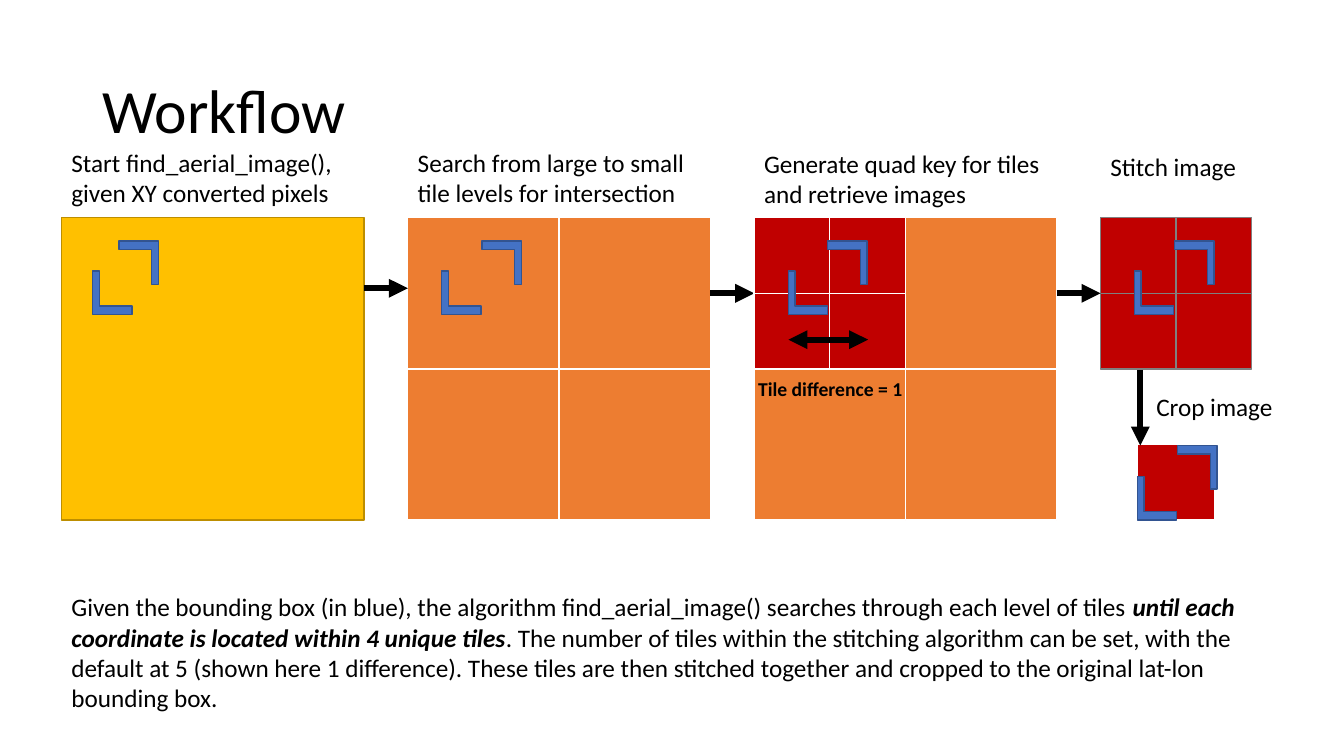
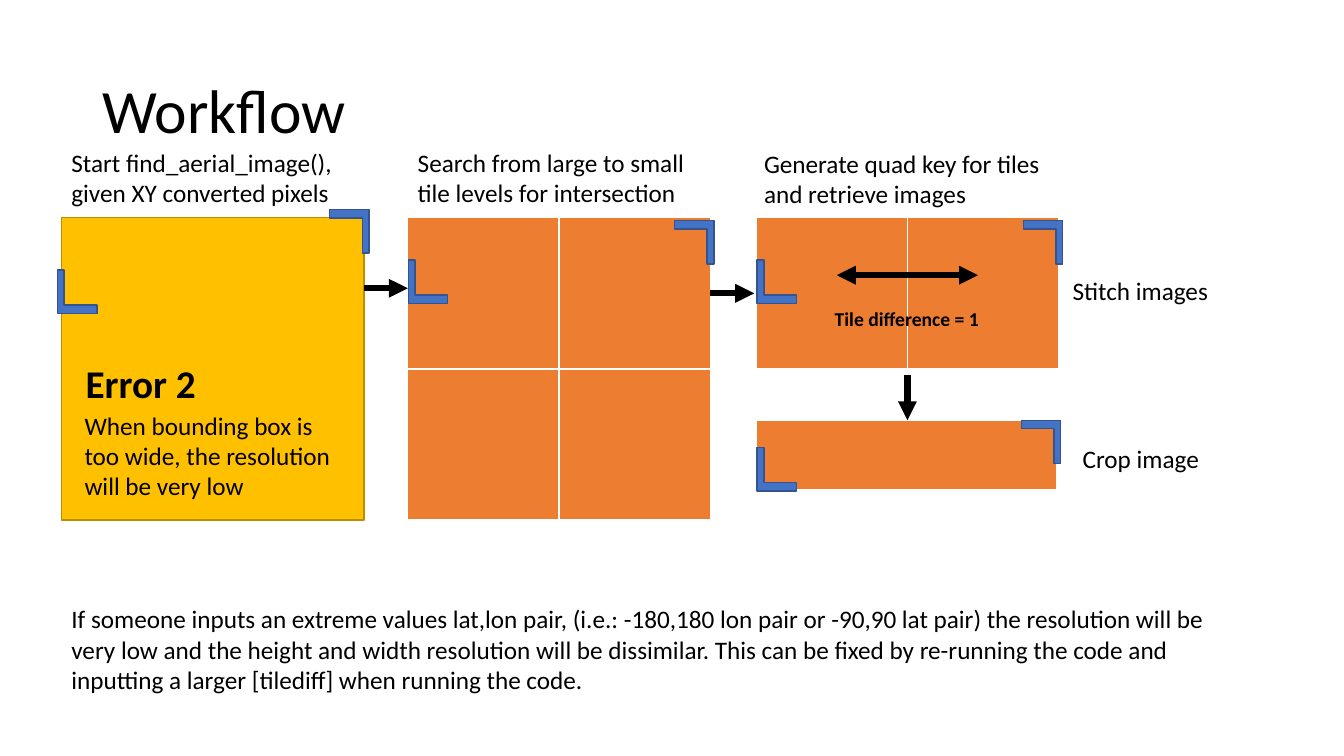
from typing import NamedTuple

from lxml import etree
from pptx import Presentation
from pptx import util as u
from pptx.dml.color import RGBColor
from pptx.enum import shapes as es
from pptx.enum import text as et
from pptx.oxml.ns import qn

HEX = {
    "black": "000000", "white": "FFFFFF", "gray": "808080",
    "gold": "FFC000", "bronze": "BD8E00", "orange": "ED7D31",
    "red": "C00000", "blue": "4472C4", "navy": "325491",
}
FONT = "Calibri"
TILE = 1.5                  # side of a large tile
HALF = TILE / 2             # side of a small tile
TOP = 2.16                  # top of the tile row
MID = TOP + HALF            # middle of the first tile row
COLS = [0.61 + 3.435 * i for i in range(4)]   # left edge of each step
WIDE = 2 * TILE             # width of a step


class Box(NamedTuple):
    x: float
    y: float
    w: float
    h: float


class Run(NamedTuple):
    words: str
    bold: bool = False
    slant: bool = False


class Mark(NamedTuple):
    """Lower left and upper right brackets of a bounding box."""
    x1: float
    y1: float
    x2: float
    y2: float


class Arrow(NamedTuple):
    x1: float
    y1: float
    x2: float
    y2: float
    both: bool = False


def rgb(name: str) -> RGBColor:
    return RGBColor.from_string(HEX[name])


def inch(*sizes: float) -> list:
    return [u.Inches(n) for n in sizes]


def write(slide, box: Box, *paras, size: float = 18, bold: bool = False,
          wrap: bool = True, grow: bool = True, mid: bool = False,
          center: bool = False, lead: float | None = None,
          edge: str | None = None) -> None:
    """Each paragraph is a string or a list of runs."""
    frame = slide.shapes.add_textbox(*inch(*box)).text_frame
    frame.word_wrap = wrap
    if grow:
        frame.auto_size = et.MSO_AUTO_SIZE.SHAPE_TO_FIT_TEXT
    if mid:
        frame.vertical_anchor = et.MSO_ANCHOR.MIDDLE
    for i, para in enumerate(paras):
        p = frame.add_paragraph() if i else frame.paragraphs[0]
        if center:
            p.alignment = et.PP_ALIGN.CENTER
        if lead:
            p.line_spacing = lead
        for run in [Run(para, bold)] if isinstance(para, str) else para:
            r = p.add_run()
            r.text = run.words
            font = r.font
            font.name, font.size = FONT, u.Pt(size)
            font.bold, font.italic = run.bold, run.slant
            font.color.rgb = rgb("black")
            if edge:
                ln = etree.Element(qn("a:ln"), w=str(u.Pt(0.75)))
                fill = etree.SubElement(ln, qn("a:solidFill"))
                etree.SubElement(fill, qn("a:srgbClr"), val=HEX[edge])
                r._r.get_or_add_rPr().insert(0, ln)


def draw(slide, box: Box, fill: str, line: str = "white",
         kind=es.MSO_SHAPE.RECTANGLE):
    shape = slide.shapes.add_shape(kind, *inch(*box))
    shape.shadow.inherit = False
    shape.fill.solid()
    shape.fill.fore_color.rgb = rgb(fill)
    shape.line.color.rgb = rgb(line)
    shape.line.width = u.Pt(1)
    return shape


def grid(slide, x: float, side: float, fill: str, line: str = "white",
         rows: int = 2) -> None:
    for r in range(rows):
        for c in range(2):
            draw(slide, Box(x + c * side, TOP + r * side, side, side),
                 fill, line)


def bound(slide, mark: Mark) -> None:
    for x, y, turn in ((mark.x1, mark.y1, 0), (mark.x2, mark.y2, 180)):
        shape = draw(slide, Box(x, y, 0.39, 0.43), "blue", "navy",
                     es.MSO_SHAPE.CORNER)
        shape.adjustments[0], shape.adjustments[1] = 0.21, 0.17
        shape.rotation = turn


def point(slide, arrow: Arrow) -> None:
    link = slide.shapes.add_connector(
        es.MSO_CONNECTOR.STRAIGHT, *inch(*arrow[:4]))
    link.line.color.rgb = rgb("black")
    link.line.width = u.Pt(4.5)
    props = link.element.spPr
    ln = props.find(qn("a:ln"))
    for end in ("headEnd", "tailEnd") if arrow.both else ("tailEnd",):
        etree.SubElement(ln, qn(f"a:{end}"), type="triangle")
    etree.SubElement(props, qn("a:effectLst"))


def label(slide, x: float, y: float, words: str, w: float = 1.37) -> None:
    write(slide, Box(x, y, w, 0.4), words, wrap=False)


def gap(slide, x: float, y: float) -> None:
    write(slide, Box(x, y, 1.65, 0.34), "Tile difference = 1",
          size=14, bold=True, wrap=False)


def start(deck):
    """Title, captions, first two steps and the arrows between them."""
    slide = deck.slides.add_slide(deck.slide_layouts[6])
    write(slide, Box(0.92, 0.4, 11.5, 1.45), "Workflow", size=44,
          mid=True, grow=False, lead=0.9)
    heads = (
        (1.41, ["Start find_aerial_image(), given XY converted pixels"]),
        (1.41, ["Search from large to small tile levels for intersection"]),
        (1.42, ["Generate quad key for tiles", "and retrieve images"]),
    )
    for x, (y, lines) in zip(COLS, heads):
        write(slide, Box(x, y, WIDE, 0.71), *lines)
    draw(slide, Box(COLS[0], TOP, WIDE, WIDE), "gold", "bronze")
    grid(slide, COLS[1], TILE, "orange")
    for i, y in enumerate((MID - 0.05, MID)):
        point(slide, Arrow(COLS[i] + WIDE, y, COLS[i + 1], y))
    return slide


def search(deck) -> None:
    slide = start(deck)
    # Retrieved tiles and stitched image
    grid(slide, COLS[2], TILE, "orange")
    grid(slide, COLS[2], HALF, "red")
    grid(slide, COLS[3], HALF, "red", "gray")
    # Cropped image
    draw(slide, Box(11.28, 4.41, 0.77, HALF), "red")
    # Bounding box at each step
    for x1, x2 in ((0.92, 1.18), (4.38, 4.78), (7.82, 8.21), (11.25, 11.65)):
        bound(slide, Mark(x1, 2.69, x2, 2.39))
    bound(slide, Mark(11.28, 4.73, 11.68, 4.42))
    # Arrows and labels
    for arrow in (Arrow(COLS[2] + WIDE, MID, COLS[3], MID),
                  Arrow(11.31, 3.67, 11.31, 4.42),
                  Arrow(7.82, 3.37, 8.61, 3.37, both=True)):
        point(slide, arrow)
    label(slide, COLS[3], 1.45, "Stitch image", 1.46)
    label(slide, 11.37, 3.83, "Crop image")
    gap(slide, 7.42, 3.69)
    # Explanation
    write(slide, Box(COLS[0], 5.82, 11.85, 1.31), [
        Run("Given the bounding box (in blue), the algorithm "
            "find_aerial_image() searches through each level of tiles "),
        Run("until each coordinate is located within 4 unique tiles",
            True, True),
        Run(". The number of tiles within the stitching algorithm can be "
            "set, with the default at 5 (shown here 1 difference). These "
            "tiles are then stitched together and cropped to the original "
            "lat-lon bounding box."),
    ])


def error(deck) -> None:
    slide = start(deck)
    # Stitched and cropped images
    grid(slide, 7.5, TILE, "orange", rows=1)
    draw(slide, Box(7.5, 4.17, 2.98, 0.69), "orange")
    # Bounding box at each step
    for mark in (Mark(0.57, 2.68, 3.27, 2.08), Mark(4.05, 2.58, 6.69, 2.19),
                 Mark(7.51, 2.58, 10.15, 2.19),
                 Mark(7.51, 4.44, 10.13, 4.17)):
        bound(slide, mark)
    # Arrows and labels
    point(slide, Arrow(9, 3.72, 9, 4.17))
    point(slide, Arrow(8.3, 2.73, 9.7, 2.73, both=True))
    label(slide, 10.54, 2.68, "Stitch images", 1.56)
    label(slide, 10.64, 4.35, "Crop image")
    gap(slide, 8.18, 3)
    # Error message
    write(slide, Box(0.74, 3.52, 1.31, 0.57), "Error 2", size=28,
          bold=True, wrap=False, center=True, edge="white")
    write(slide, Box(0.74, 4.02, 2.83, 1.01),
          "When bounding box is too wide, the resolution will be very low")
    # Explanation
    write(slide, Box(COLS[0], 5.94, 11.8, 1.01),
          "If someone inputs an extreme values lat,lon pair, (i.e.: -180,180 "
          "lon pair or -90,90 lat pair) the resolution will be very low and "
          "the height and width resolution will be dissimilar. This can be "
          "fixed by re-running the code and inputting a larger [tilediff] "
          "when running the code.")


def main() -> None:
    deck = Presentation()
    deck.slide_width, deck.slide_height = inch(13.33, 7.5)
    search(deck)
    error(deck)
    deck.save("out.pptx")


if __name__ == "__main__":
    main()
